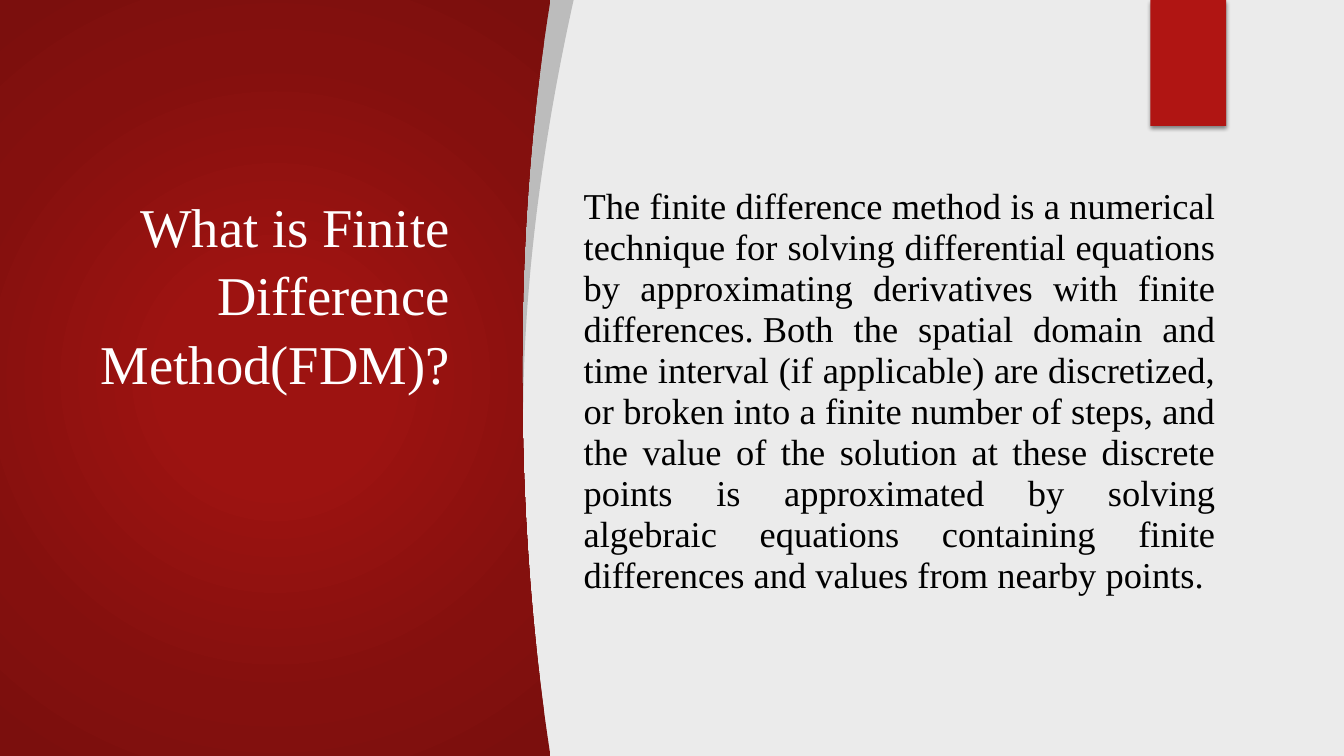
import pptx
import pptx.util
import pptx.oxml
import pptx.oxml.ns
import pptx.dml.color
import pptx.enum.shapes
import pptx.enum.text

NS = 'xmlns:a="http://schemas.openxmlformats.org/drawingml/2006/main"'
ALIGN = pptx.enum.text.PP_ALIGN


def tint(code):
    return pptx.dml.color.RGBColor.from_string(code)


def write(frame, text, size=26, color="000000", font="Times New Roman",
          align=ALIGN.LEFT, gap=1.0, top=0.05):
    frame.word_wrap = True
    frame.auto_size = pptx.enum.text.MSO_AUTO_SIZE.NONE
    frame.vertical_anchor = pptx.enum.text.MSO_ANCHOR.TOP
    frame.margin_top = pptx.util.Inches(top)
    para = frame.paragraphs[0]
    para.alignment, para.line_spacing = align, gap
    run = para.add_run()
    run.text = text
    run.font.size, run.font.name = pptx.util.Pt(size), font
    run.font.color.rgb = tint(color)


class Page:
    """Places elements on a grid of 100 columns by 100 rows."""

    def __init__(self, deck, back):
        self.col, self.row = deck.slide_width / 100, deck.slide_height / 100
        self.slide = deck.slides.add_slide(deck.slide_layouts[5])
        fill = self.slide.background.fill
        fill.solid()
        fill.fore_color.rgb = tint(back)

    def spot(self, x, y):
        return round(x * self.col), round(y * self.row)

    def box(self, x, y, wide, high):
        return self.spot(x, y) + self.spot(wide, high)

    def paint(self, shape, color):
        shape.shadow.inherit = False
        shape.line.fill.background()
        shape.fill.solid()
        shape.fill.fore_color.rgb = tint(color)
        return shape

    def rect(self, area, color):
        kind = pptx.enum.shapes.MSO_SHAPE.RECTANGLE
        return self.paint(self.slide.shapes.add_shape(kind, *self.box(*area)), color)

    def free(self, points, color):
        first, *rest = [self.spot(*point) for point in points]
        path = self.slide.shapes.build_freeform(*first)
        path.add_line_segments(rest)
        return self.paint(path.convert_to_shape(), color)

    def fade(self, shape, alpha):
        node = next(shape._element.spPr.iter(pptx.oxml.ns.qn("a:srgbClr")))
        node.append(pptx.oxml.parse_xml(f'<a:alpha {NS} val="{alpha * 1000}"/>'))

    def glow(self, shape, stops):
        marks = "".join(f'<a:gs pos="{pos * 1000}"><a:srgbClr val="{code}"/></a:gs>'
                        for pos, code in stops)
        old = shape._element.spPr.find(pptx.oxml.ns.qn("a:solidFill"))
        old.getparent().replace(old, pptx.oxml.parse_xml(
            f'<a:gradFill {NS} rotWithShape="1"><a:gsLst>{marks}</a:gsLst>'
            '<a:path path="circle"><a:fillToRect l="50000" t="50000" r="50000" '
            'b="50000"/></a:path></a:gradFill>'))

    def shade(self, shape, alpha, blur, dist):
        unit = pptx.util.Pt(1)
        shape._element.spPr.find(pptx.oxml.ns.qn("a:effectLst")).append(
            pptx.oxml.parse_xml(
                f'<a:outerShdw {NS} blurRad="{blur * unit}" dist="{dist * unit}" '
                f'dir="5400000" rotWithShape="0"><a:srgbClr val="000000">'
                f'<a:alpha val="{alpha * 1000}"/></a:srgbClr></a:outerShdw>'))

    def title(self, text, area, **style):
        shape = self.slide.shapes.title
        shape.left, shape.top, shape.width, shape.height = self.box(*area)
        write(shape.text_frame, text, **style)
        # Bring the title in front of the panel
        self.slide.shapes._spTree.append(shape._element)

    def text(self, text, area, **style):
        shape = self.slide.shapes.add_textbox(*self.box(*area))
        write(shape.text_frame, text, **style)


deck = pptx.Presentation()
deck.slide_width = pptx.util.Inches(13.33)
deck.slide_height = pptx.util.Inches(7.5)
page = Page(deck, "EBEBEB")

# Grey sliver behind the panel
STEPS = 40
ends = [i / STEPS for i in range(STEPS + 1)]
outer = [(38.93 + 3.75 * (1 - t) ** 1.8, 54.13 * t) for t in ends]
inner = [(38.4, 53.6), (38.1, 35), (38.3, 21), (38.78, 0)]
page.fade(page.free(outer + inner, "000000"), 20)

# Red panel with a curved edge
MID = 48.8


def edge(y):
    reach = MID if y < MID else 100 - MID
    return 38.86 + 2.1 * (abs(y - MID) / reach) ** 2.1


curve = [(edge(100 * t), 100 * t) for t in ends]
panel = page.free([(0, 0)] + curve + [(0, 100), (0, 0)], "84100E")
page.glow(panel, [(0, "9D1311"), (23, "9D1311"), (69, "84100E"), (97, "7B0F0D")])

# Red tab at the top
page.shade(page.rect((85.6, 0, 5.63, 16.67), "B01513"), 45, 3, 2)

# Title and body share one top and height
TOP, HIGH = 24, 65.2
page.title("What is Finite Difference Method(FDM)?", (5.33, TOP, 28.88, HIGH),
           size=39, color="FFFFFF", align=ALIGN.RIGHT, gap=1.04, top=0.09)
page.text("The finite difference method is a numerical technique for solving "
          "differential equations by approximating derivatives with finite "
          "differences.\u00a0Both the spatial domain and time interval (if "
          "applicable) are discretized, or broken into a finite number of steps, "
          "and the value of the solution at these discrete points is approximated "
          "by solving algebraic equations containing finite differences and values "
          "from nearby points.",
          (42.69, TOP, 48.54, HIGH), align=ALIGN.JUSTIFY, gap=0.94)

deck.save("out.pptx")
